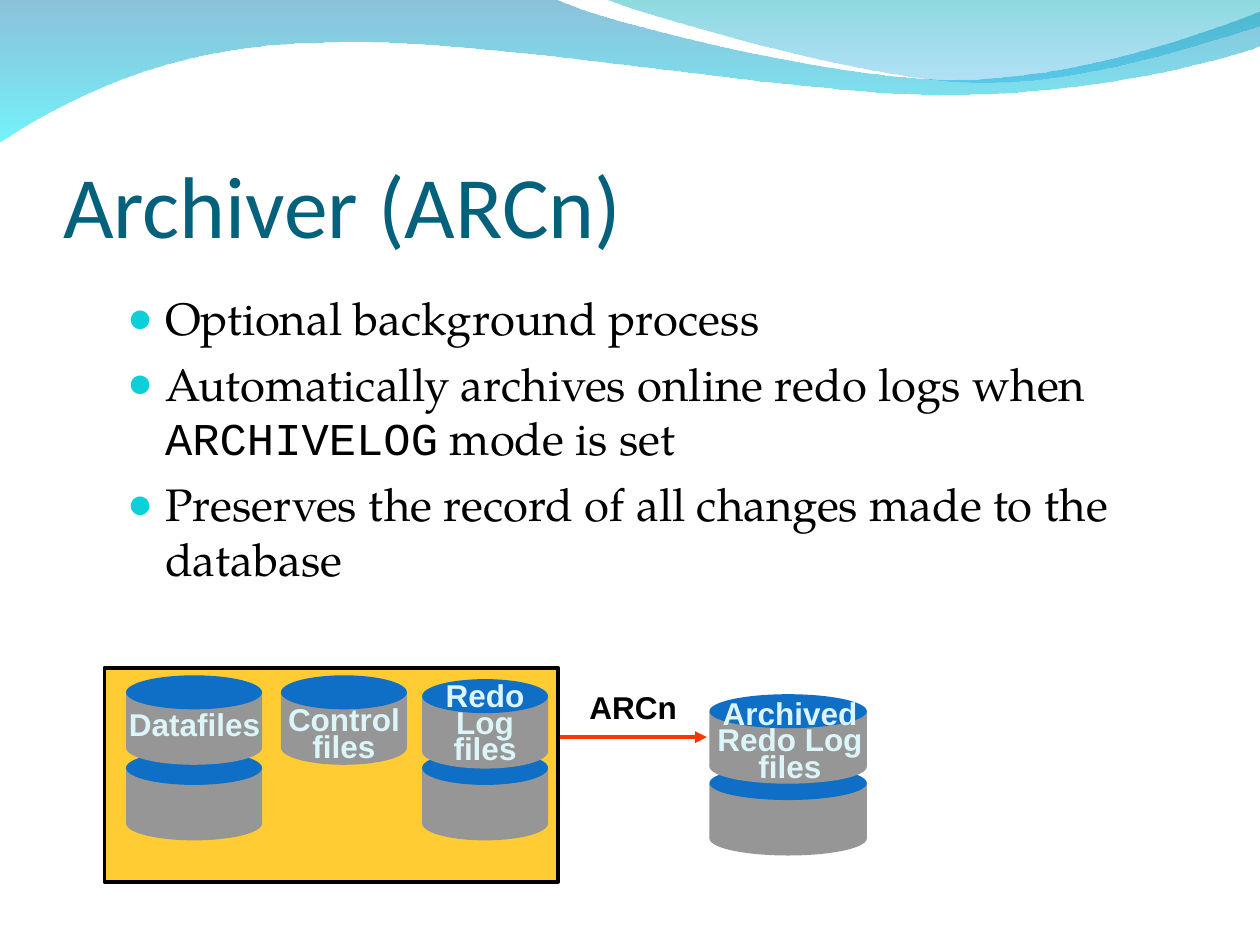
from lxml.etree import SubElement
from pptx import Presentation
from pptx.dml.color import RGBColor
from pptx.enum.shapes import MSO_CONNECTOR as Connector, MSO_SHAPE as Preset
from pptx.enum.text import MSO_ANCHOR as Anchor, MSO_AUTO_SIZE as AutoSize, PP_ALIGN as Align
from pptx.oxml.ns import qn
from pptx.util import Inches, Pt

COLORS = {
    "title": "04617B", "text": "000000", "bullet": "0BD0D9", "label": "DBF5F9",
    "disk": "969696", "disk_top": "0F6FC6", "database": "FFCC33",
    "border": "000000", "arrow": "FF3300",
}
BODY_FONT, CODE_FONT = "TeX Gyre Pagella", "Courier New"
BULLETS = [
    [("Optional background process", BODY_FONT)],
    [("Automatically archives online redo logs when ", BODY_FONT),
     ("ARCHIVELOG", CODE_FONT), (" mode is set", BODY_FONT)],
    [("Preserves the record of all changes made to the database", BODY_FONT)],
]
# Each wave has a start, then segments: one point for a line, three for a
# Bézier curve. Gradient stops are (colour, opacity in percent).
WAVES = [
    ((0, -0.01),
     [[(4.4, -0.01)],
      [(4.76, 0.17), (6.64, 0.63), (7.58, 0.63)],
      [(8.53, 0.63), (9.58, 0.26), (10, 0.09)],
      [(10.01, 0.36)],
      [(9.83, 0.44), (8.7, 0.76), (7.46, 0.75)],
      [(6.22, 0.75), (3.82, 0.28), (2.57, 0.34)],
      [(1.29, 0.35), (0.46, 0.83), (-0.01, 1.13)],
      [(0, -0.01)]],
     [("0079AF", 45), ("00EBF8", 55)]),
    ((4.79, -0.01),
     [[(5.09, 0.11), (6.82, 0.62), (7.69, 0.65)],
      [(8.56, 0.69), (9.61, 0.32), (10, 0.21)],
      [(10, 0)],
      [(4.79, -0.01)]],
     [("00ADB6", 45), ("009BE5", 30)]),
]
ELLIPSE_HEIGHT = 0.27
DISK_HEIGHT = 0.43


def rgb(name):
    return RGBColor.from_string(COLORS[name])


def place(shape, *box):
    for name, value in zip(("left", "top", "width", "height"), box):
        setattr(shape, name, Inches(value))


def set_frame(frame, insets, **formats):
    sides = ("margin_left", "margin_top", "margin_right", "margin_bottom")
    values = dict(zip(sides, map(Inches, insets)), word_wrap=True, **formats)
    for name, value in values.items():
        setattr(frame, name, value)


def add_run(paragraph, text, color, **formats):
    run = paragraph.add_run()
    run.text = text
    for name, value in formats.items():
        setattr(run.font, name, value)
    run.font.color.rgb = rgb(color)


def bend_segments(shape, segments):
    """Join the three lines of each curve segment into one Bézier curve."""
    lines = iter(list(shape.element.iter(qn("a:lnTo"))))
    for segment in segments:
        first, *others = [next(lines) for _ in segment]
        if others:
            first.tag = qn("a:cubicBezTo")
        for line in others:
            first.append(line[0])
            line.getparent().remove(line)


def add_wave(shapes, start, segments, stops):
    builder = shapes.build_freeform(*map(Inches, start))
    builder.add_line_segments(
        [(Inches(x), Inches(y)) for segment in segments for x, y in segment])
    wave = builder.convert_to_shape()
    bend_segments(wave, segments)
    wave.shadow.inherit = False
    wave.line.fill.background()
    wave.fill.gradient()
    wave.fill.gradient_angle = 270
    for stop, (color, opacity) in zip(wave.fill.gradient_stops, stops):
        stop.color.rgb = RGBColor.from_string(color)
    color_elements = wave.element.spPr.iter(qn("a:srgbClr"))
    for element, (color, opacity) in zip(color_elements, stops):
        SubElement(element, qn("a:alpha"), val=str(opacity * 1000))


def fill_title(title):
    place(title, 0.5, 0.78, 9, 1.25)
    set_frame(title.text_frame, (0, 0.05, 0, 0),
              vertical_anchor=Anchor.BOTTOM, auto_size=AutoSize.NONE)
    paragraph = title.text_frame.paragraphs[0]
    paragraph.alignment = Align.LEFT
    add_run(paragraph, "Archiver (ARCn)", "title", size=Pt(50), name="Calibri")


def add_bullet(paragraph):
    properties = paragraph._p.get_or_add_pPr()
    properties.set("marL", str(Inches(0.3)))
    properties.set("indent", str(Inches(-0.3)))
    color = SubElement(properties, qn("a:buClr"))
    SubElement(color, qn("a:srgbClr"), val=COLORS["bullet"])
    SubElement(properties, qn("a:buSzPct"), val="95000")
    SubElement(properties, qn("a:buChar"), char="●")


def fill_body(body):
    place(body, 0.91, 2.25, 8.41, 4.02)
    frame = body.text_frame
    set_frame(frame, (0.1, 0.05, 0.1, 0.05),
              vertical_anchor=Anchor.TOP, auto_size=AutoSize.NONE)
    for index, runs in enumerate(BULLETS):
        paragraph = frame.add_paragraph() if index else frame.paragraphs[0]
        paragraph.space_before = Pt(6.5)
        add_bullet(paragraph)
        for text, font in runs:
            add_run(paragraph, text, "text", size=Pt(26), name=font)


def add_solid(shapes, preset, box, color):
    shape = shapes.add_shape(preset, *map(Inches, box))
    shape.shadow.inherit = False
    shape.fill.solid()
    shape.fill.fore_color.rgb = rgb(color)
    shape.line.fill.background()
    return shape


def add_disk(shapes, left, top, width):
    for preset, offset, height, color in (
            (Preset.RECTANGLE, 0.14, DISK_HEIGHT, "disk"),
            (Preset.OVAL, 0, ELLIPSE_HEIGHT, "disk_top"),
            (Preset.OVAL, 0.44, ELLIPSE_HEIGHT, "disk")):
        add_solid(shapes, preset, (left, top + offset, width, height), color)


def add_label(shapes, text, box, color="label", insets=(0.11, 0.06, 0.11, 0.06),
              alignment=Align.CENTER, line_spacing=0.7):
    label = shapes.add_textbox(*map(Inches, box))
    set_frame(label.text_frame, insets, auto_size=AutoSize.SHAPE_TO_FIT_TEXT)
    paragraph = label.text_frame.paragraphs[0]
    paragraph.alignment = alignment
    paragraph.line_spacing = line_spacing
    paragraph.space_before = Pt(11.2)
    add_run(paragraph, text, color, size=Pt(18), name="Arial", bold=True)


def add_arrow(shapes, tip_x, end_x, y):
    arrow = shapes.add_connector(
        Connector.STRAIGHT, *map(Inches, (tip_x, y, end_x, y)))
    arrow.line.color.rgb = rgb("arrow")
    arrow.line.width = Pt(2.25)
    SubElement(arrow.line._get_or_add_ln(), qn("a:headEnd"), type="triangle")
    SubElement(arrow.element.spPr, qn("a:effectLst"))


def add_archive(slide):
    shapes = slide.shapes.add_group_shape().shapes
    for top in (6.08, 5.51):
        add_disk(shapes, 5.63, top, 1.25)
    add_label(slide.shapes, "Archived Redo Log files", (5.56, 5.53, 1.42, 0.74))


def add_database(slide):
    shapes = slide.shapes.add_group_shape().shapes
    frame = add_solid(shapes, Preset.RECTANGLE, (0.83, 5.3, 3.6, 1.7), "database")
    frame.line.color.rgb = rgb("border")
    frame.line.width = Pt(2)
    for left, width, tops, text, label_box in (
            (2.23, 1, (5.36,), "Control files", (2.09, 5.58, 1.28, 0.54)),
            (1, 1.08, (5.96, 5.36), "Datafiles", (0.88, 5.62, 1.33, 0.33)),
            (3.35, 1, (5.96, 5.39), "Redo Log files", (3.28, 5.39, 1.14, 0.74))):
        for top in tops:
            add_disk(shapes, left, top, width)
        add_label(shapes, text, label_box)


def main():
    presentation = Presentation()
    presentation.slide_width, presentation.slide_height = Inches(10), Inches(7.5)
    slide = presentation.slides.add_slide(presentation.slide_layouts[1])
    title, body = slide.placeholders
    for start, segments, stops in WAVES:
        add_wave(slide.shapes, start, segments, stops)
    for placeholder, fill in ((title, fill_title), (body, fill_body)):
        fill(placeholder)
        placeholder.element.getparent().append(placeholder.element)
    add_arrow(slide.shapes, 5.61, 4.43, 5.85)
    add_label(slide.shapes, "ARCn", (4.58, 5.41, 0.94, 0.4), "text",
              (0.1, 0.05, 0.1, 0.05), Align.LEFT, 1.0)
    add_archive(slide)
    add_database(slide)
    presentation.save("out.pptx")


if __name__ == "__main__":
    main()
